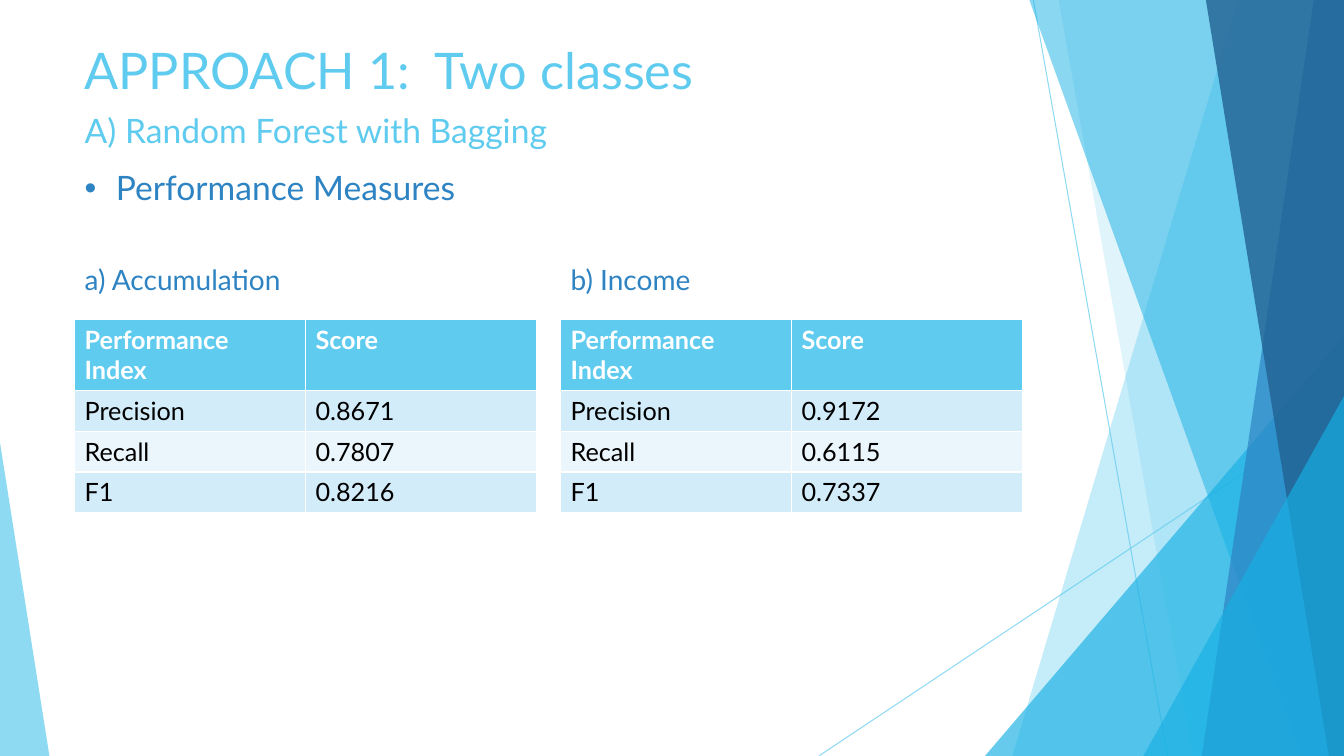
"""Build the slide that compares Random Forest scores for two classes."""
from lxml import etree
from pptx import Presentation
from pptx.dml.color import RGBColor
from pptx.enum import shapes, text
from pptx.oxml import ns
from pptx import util as u

WIDTH, HEIGHT = u.Inches(13.33), u.Inches(7.5)
COLOURS = {"sky": "5FCBEF", "cyan": "17B0E4", "blue": "2E83C3", "navy": "226292",
           "white": "FFFFFF", "black": "000000", "band": "D2ECF9", "pale": "EAF6FC"}
LEFT, COLUMN, PITCH = 5.55, 34.36, 36.16
TABLE_TOP, HEADER_ROW, SCORE_ROW = 42.27, 9.2, 5.42
FRAME = {"word_wrap": True, "auto_size": text.MSO_AUTO_SIZE.NONE}
PARAGRAPH = {"alignment": text.PP_ALIGN.LEFT, "line_spacing": 1.0, "space_before": u.Pt(0)}
SLANTS = [(92.12, 75.32, "sky", 36), (78.77, 88.75, "sky", 20), (76.59, 96.85, "cyan", 50),
          (97.75, 89.42, "blue", 70), (89.72, 98.87, "navy", 80)]
CORNERS = [(73.29, 44.4, 26.71, 1, "cyan", 66), (85.07, 52.4, 14.93, 1, "cyan", 66),
           (0, 58.53, 3.68, 0, "sky", 70)]
RAYS = [(76.89, 0, 86.87, 100), (100, 53.73, 60.92, 100)]
SCORES = [
    ("a) Accumulation", ["Performance\nIndex", "Score"],
     [("Precision", "0.8671"), ("Recall", "0.7807"), ("F1", "0.8216")]),
    ("b) Income", ["Performance Index", "Score"],
     [("Precision", "0.9172"), ("Recall", "0.6115"), ("F1", "0.7337")]),
]


def across(share):
    """Turn a percentage of the slide's width into a length."""
    return u.Emu(round(WIDTH * share / 100))


def down(share):
    """Turn a percentage of the slide's height into a length."""
    return u.Emu(round(HEIGHT * share / 100))


def colour(name):
    """Look up a named colour."""
    return RGBColor.from_string(COLOURS[name])


def apply(target, values):
    """Set every attribute in a dict of format values."""
    for name, value in values.items():
        setattr(target, name, value)


def set_opacity(shape, percent):
    """Make the shape's own colours partly transparent."""
    for node in shape.element.iter(ns.qn("a:srgbClr")):
        etree.SubElement(node, ns.qn("a:alpha")).set("val", str(percent * 1000))


def style_facet(shape, shade, opacity):
    """Give a decorative shape a transparent fill without outline or shadow."""
    shape.shadow.inherit = False
    shape.fill.solid()
    shape.fill.fore_color.rgb = colour(shade)
    shape.line.fill.background()
    set_opacity(shape, opacity)


def add_ray(page, x1, y1, x2, y2):
    """Draw one thin decorative line."""
    ray = page.shapes.add_connector(shapes.MSO_CONNECTOR.STRAIGHT, across(x1), down(y1),
                                    across(x2), down(y2))
    ray.line.color.rgb = colour("sky")
    ray.line.width = u.Pt(0.75)
    set_opacity(ray, 70)
    etree.SubElement(ray.element.spPr, ns.qn("a:effectLst"))


def add_slant(page, top, bottom, shade, opacity):
    """Fill the area from a slanted edge to the slide's right side."""
    outline = page.shapes.build_freeform(across(top), 0)
    outline.add_line_segments([(WIDTH, 0), (WIDTH, HEIGHT), (across(bottom), HEIGHT)])
    style_facet(outline.convert_to_shape(), shade, opacity)


def add_corner(page, left, top, width, apex, shade, opacity):
    """Draw a triangle that stands on the slide's bottom edge."""
    corner = page.shapes.add_shape(shapes.MSO_SHAPE.ISOSCELES_TRIANGLE, across(left), down(top),
                                   across(width), down(100 - top))
    corner.adjustments[0] = apex
    style_facet(corner, shade, opacity)


def add_decor(page):
    """Draw the facets from back to front."""
    for ray in RAYS:
        add_ray(page, *ray)
    for slant in SLANTS[:2]:
        add_slant(page, *slant)
    add_corner(page, *CORNERS[0])
    for slant in SLANTS[2:]:
        add_slant(page, *slant)
    for corner in CORNERS[1:]:
        add_corner(page, *corner)


def write(frame, words, size, shade, bold=False, **layout):
    """Write text into a frame, one paragraph for each line."""
    frame.text = words
    for para in frame.paragraphs:
        apply(para, {**PARAGRAPH, **layout})
        for span in para.runs:
            apply(span.font, {"name": "Lato", "size": u.Pt(size), "bold": bold})
            span.font.color.rgb = colour(shade)


def fill_box(box, area, words, size, shade, anchor=text.MSO_ANCHOR.TOP, **layout):
    """Move a placeholder in front of the facets and write its text."""
    left, top, width, height = area
    box.element.getparent().append(box.element)
    apply(box, {"left": across(left), "top": down(top),
                "width": across(width), "height": down(height)})
    apply(box.text_frame, {**FRAME, "vertical_anchor": anchor})
    write(box.text_frame, words, size, shade, **layout)


def set_bullet(box, mark=None, indent=0):
    """Give the placeholder's paragraphs a bullet, or none."""
    for para in box.text_frame.paragraphs:
        properties = para._p.get_or_add_pPr()
        properties.set("marL", str(u.Inches(indent)))
        properties.set("indent", str(-u.Inches(indent)))
        bullet = etree.SubElement(properties, ns.qn("a:buChar" if mark else "a:buNone"))
        if mark:
            bullet.set("char", mark)


def add_scores(page, left, header, scores):
    """Add a table with a header and banded score rows."""
    rows = [header, *scores]
    height = HEADER_ROW + SCORE_ROW * len(scores)
    table = page.shapes.add_table(len(rows), len(header), across(left), down(TABLE_TOP),
                                  across(COLUMN), down(height)).table
    for number, values in enumerate(rows):
        heading = number == 0
        table.rows[number].height = down(HEADER_ROW if heading else SCORE_ROW)
        fill = "sky" if heading else ("pale", "band")[number % 2]
        for cell, value in zip(table.rows[number].cells, values):
            cell.fill.solid()
            cell.fill.fore_color.rgb = colour(fill)
            write(cell.text_frame, value, 18, "white" if heading else "black", heading)


def main():
    """Create and save the slide."""
    deck = Presentation()
    apply(deck, {"slide_width": WIDTH, "slide_height": HEIGHT})
    page = deck.slides.add_slide(deck.slide_layouts.get_by_name("Comparison"))
    title, caption_a, measures, caption_b, subtitle = page.placeholders
    add_decor(page)

    for number, (caption, header, scores) in enumerate(SCORES):
        left = LEFT + PITCH * number
        fill_box((caption_a, caption_b)[number], (left, 31.47, COLUMN, 8.4), caption, 20, "blue",
                 text.MSO_ANCHOR.BOTTOM, space_before=u.Pt(10))
        add_scores(page, left, header, scores)

    fill_box(title, (LEFT, 4.53, 70.52, 10.27), "APPROACH 1:  Two classes", 36, "sky")
    fill_box(subtitle, (LEFT, 13.87, 66.17, 6.67), "A) Random Forest with Bagging", 24, "sky")
    set_bullet(subtitle)
    fill_box(measures, (LEFT, 21.47, 37.36, 6.67), "Performance Measures", 24, "blue")
    set_bullet(measures, "•", 0.31)
    deck.save("out.pptx")


if __name__ == "__main__":
    main()
